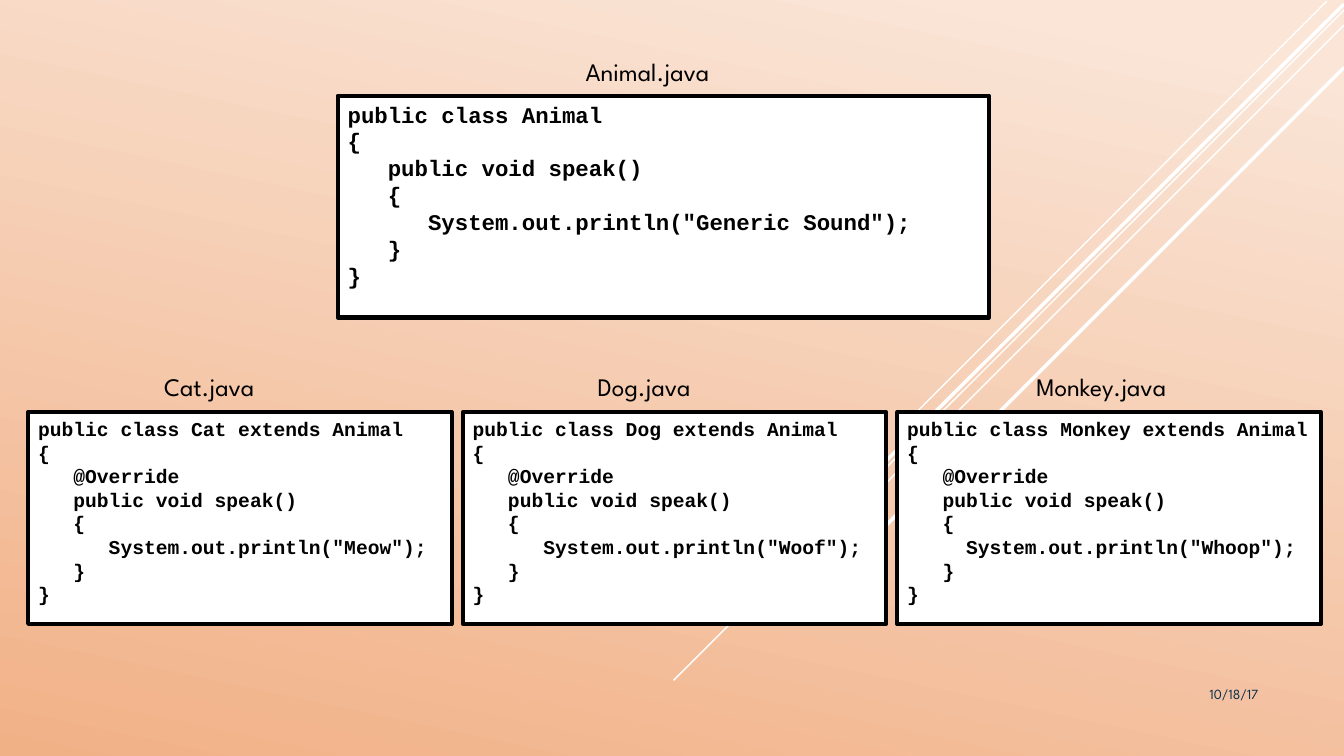
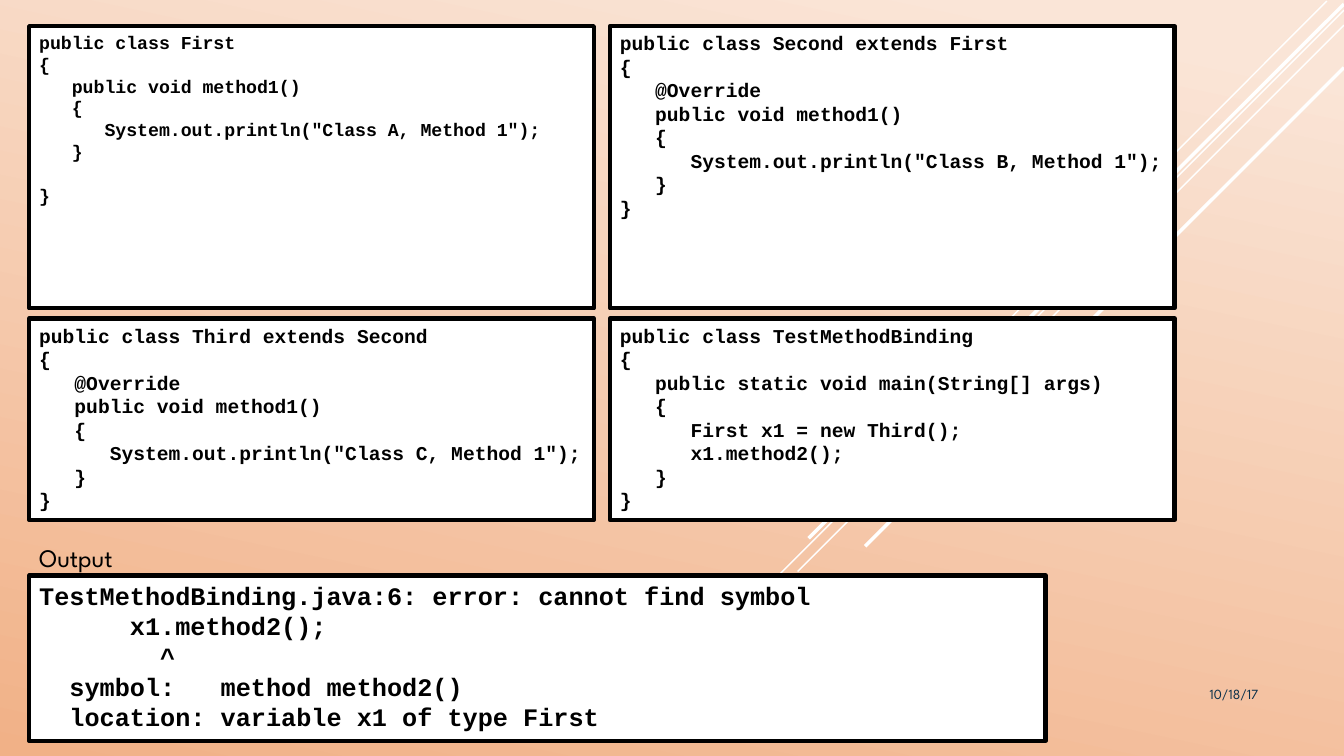
"""Build two slides of Java code on inheritance and method binding."""
from copy import deepcopy
from dataclasses import dataclass

from lxml.etree import SubElement as Sub
from pptx import Presentation
from pptx.dml.color import RGBColor as RGB
from pptx.enum.shapes import MSO_CONNECTOR as Link, MSO_SHAPE as Kind
from pptx.enum.text import MSO_ANCHOR as Anchor, MSO_AUTO_SIZE as Fit, PP_ALIGN as Align
from pptx.oxml.ns import qn
from pptx.util import Inches, Pt


@dataclass(frozen=True)
class Theme:
    pale: RGB = RGB(0xFA, 0xE5, 0xD7)
    peach: RGB = RGB(0xF1, 0xB1, 0x87)
    white: RGB = RGB(0xFF, 0xFF, 0xFF)
    black: RGB = RGB(0, 0, 0)
    navy: RGB = RGB(0x0A, 0x30, 0x4A)
    mono: str = "Courier New"
    sans: str = "League Spartan"
    large: int = 18
    parent: int = 16
    code: int = 14
    small: int = 13
    date: int = 10
    edge: int = 3


theme = Theme()


def add_code(slide, text, size, *box):
    card = slide.shapes.add_shape(Kind.RECTANGLE, *map(Inches, box))
    card.shadow.inherit = False
    card.fill.solid()
    card.fill.fore_color.rgb = theme.white
    card.line.color.rgb = theme.black
    card.line.width = Pt(theme.edge)
    frame = card.text_frame
    frame.word_wrap = True
    frame.vertical_anchor = Anchor.TOP
    para = frame.paragraphs[0]
    para.alignment = Align.LEFT
    for row, line in enumerate(text.split("\n")):
        if row:
            para.add_line_break()
        if line:
            run = para.add_run()
            run.text = line
            run.font.name = theme.mono
            run.font.size = Pt(size)
            run.font.bold = True
            run.font.color.rgb = theme.black
    style = next(card.element.iter(qn("a:rPr")))
    for gap in list(card.element.iter(qn("a:br"))):
        gap.append(deepcopy(style))


def add_note(slide, text, left, top, width, size=theme.large, color=theme.black, date=False):
    note = slide.shapes.add_textbox(*map(Inches, (left, top, width, 0.4)))
    frame = note.text_frame
    frame.word_wrap = date
    frame.auto_size = Fit.NONE if date else Fit.SHAPE_TO_FIT_TEXT
    para = frame.paragraphs[0]
    para.alignment = Align.RIGHT if date else Align.LEFT
    run = para.add_run()
    run.text = text
    run.font.name = theme.sans
    run.font.size = Pt(size)
    run.font.color.rgb = color


prs = Presentation()
prs.slide_width, prs.slide_height = Inches(13.33), Inches(7.5)
master = prs.slide_master
blank = prs.slide_layouts[6]
animals, binding = [prs.slides.add_slide(blank) for _ in range(2)]

fill = master.background.fill
fill.gradient()
fill.gradient_angle = 258
for stop, spot, color in zip(fill.gradient_stops, (0.07, 1), (theme.pale, theme.peach)):
    stop.position = spot
    stop.color.rgb = color

rays = [
    (13.16, 0.01, 9, 4.18, 1),
    (13.33, 0.1, 6.68, 6.75, 1),
    (13.33, 0.25, 7.91, 5.67, 1),
    (13.33, 0.04, 8.02, 5.34, 2.5),
    (13.33, 0.67, 8.58, 5.42, 2.5),
]
for num, (*ends, width) in enumerate(rays, 20):
    ray = animals.shapes.add_connector(Link.STRAIGHT, *map(Inches, ends))
    ray.line.color.rgb = theme.white
    ray.line.width = Pt(width)
    Sub(ray.element.spPr, qn("a:effectLst"))
    ray.element.nvCxnSpPr.cNvPr.set("id", str(num))
    ray.name = f"Ray {num}"
    master.shapes.element.append(ray.element)

child = """public class {} extends {}
{{
   @Override
   public void {}()
   {{
{}System.out.println("{}");
   }}
}}"""

add_code(animals, """public class Animal
{
   public void speak()
   {
      System.out.println("Generic Sound");
   }
}""", theme.parent, 3.35, 0.95, 6.46, 2.2)
add_note(animals, "Animal.java", 5.71, 0.51, 1.66)

kinds = [
    ("Cat", "Meow", 6, 1.53, 1.27),
    ("Dog", "Woof", 6, 5.83, 1.33),
    ("Monkey", "Whoop", 5, 10.18, 1.78),
]
for col, (name, sound, dent, left, width) in enumerate(kinds):
    text = child.format(name, "Animal", "speak", " " * dent, sound)
    add_code(animals, text, theme.code, 0.28 + 4.31 * col, 4.09, 4.2, 2.1)
    add_note(animals, f"{name}.java", left, 3.63, width)

first = """public class First
{
   public void method1()
   {
      System.out.println("Class A, Method 1");
   }

}"""
second, third = [
    child.format(name, base, "method1", " " * 6, f"Class {mark}, Method 1")
    for name, base, mark in (("Second", "First", "B"), ("Third", "Second", "C"))
]
test = """public class TestMethodBinding
{
   public static void main(String[] args)
   {
      First x1 = new Third();
      x1.method2();
   }
}"""
rows = [
    (0.26, 2.8, ((first, theme.small), (second, theme.code))),
    (3.16, 2, ((third, theme.code), (test, theme.code))),
]
for top, height, cells in rows:
    for col, (text, size) in enumerate(cells):
        add_code(binding, text, size, 0.29 + 5.76 * col, top, 5.6, height)

add_code(binding, """TestMethodBinding.java:6: error: cannot find symbol
      x1.method2();
        ^
  symbol:   method method2()
  location: variable x1 of type First""", theme.large, 0.29, 5.71, 10.08, 1.64)
add_note(binding, "Output", 0.29, 5.33, 1.07)

for slide in (animals, binding):
    add_note(slide, "10/18/17", 10.83, 6.75, 1.75, theme.date, theme.navy, date=True)

prs.save("out.pptx")
